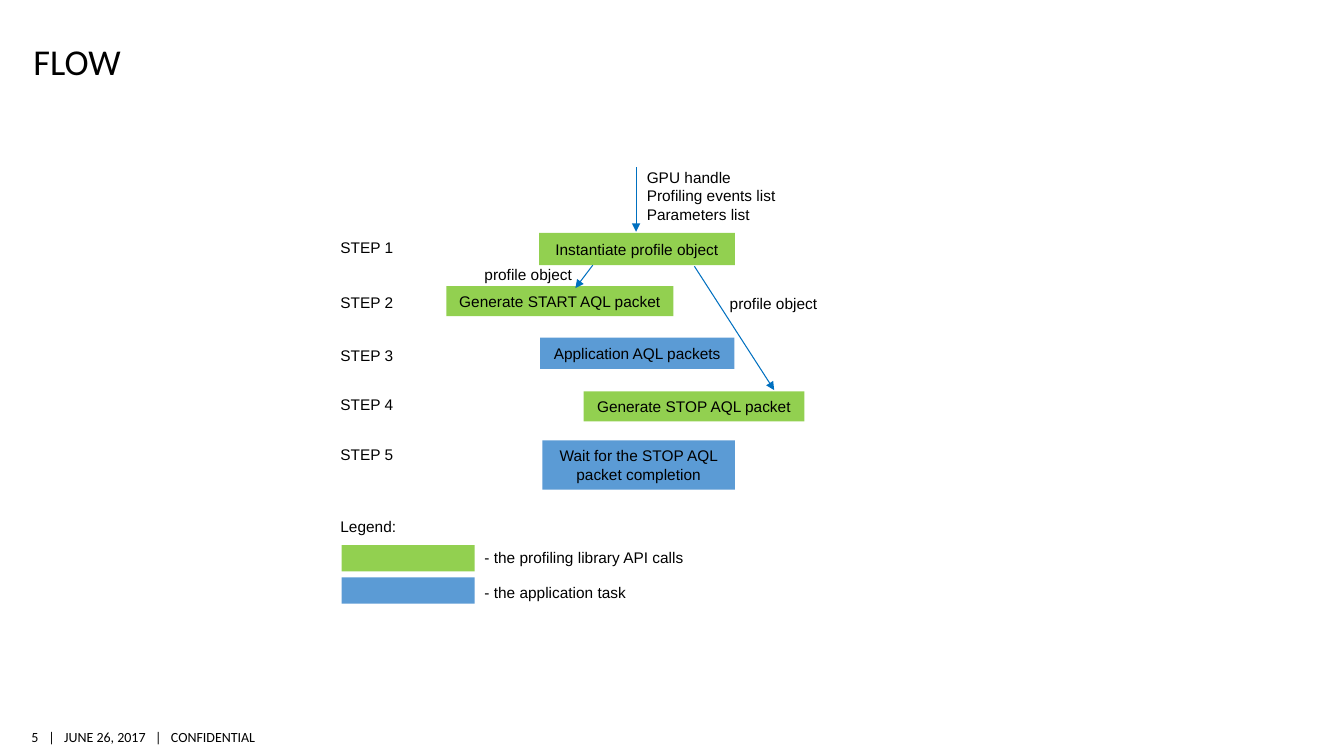
from dataclasses import dataclass

from lxml import etree
from pptx import Presentation
from pptx import util as u
from pptx.dml.color import RGBColor
from pptx.enum import shapes, text
from pptx.oxml.ns import qn
from pptx.slide import Slide
from pptx.text.text import TextFrame

BLACK = RGBColor(0x00, 0x00, 0x00)
WHITE = RGBColor(0xFF, 0xFF, 0xFF)
GREEN = RGBColor(0x92, 0xD0, 0x50)
BLUE = RGBColor(0x5B, 0x9B, 0xD5)
ARROW_BLUE = RGBColor(0x00, 0x70, 0xC0)

LEFT = text.PP_ALIGN.LEFT
CENTER = text.PP_ALIGN.CENTER
RIGHT = text.PP_ALIGN.RIGHT
TOP = text.MSO_ANCHOR.TOP
MIDDLE = text.MSO_ANCHOR.MIDDLE
BOTTOM = text.MSO_ANCHOR.BOTTOM


@dataclass(frozen=True)
class Block:
    wording: str
    left: float
    top: float
    width: float
    height: float
    fill: RGBColor = WHITE


@dataclass(frozen=True)
class Arrow:
    x1: float
    y1: float
    x2: float
    y2: float


STEP_TOPS = [5.87, 7.26, 8.59, 9.83, 11.1]

LABELS = [
    Block("profile object", 11.96, 6.55, 3.35, 0.71),
    Block("profile object", 18.14, 7.29, 3.35, 0.71),
    Block("GPU handle\nProfiling events list\nParameters list", 16.05, 4.11, 6.86, 1.47),
    Block("Legend:", 8.33, 12.9, 5, 0.71),
    Block("- the profiling library API calls", 11.96, 13.69, 6.6, 0.79),
    Block("- the application task", 11.96, 14.58, 6.38, 0.66),
] + [
    Block(f"STEP {number}", 8.33, top, 5, 0.71)
    for number, top in enumerate(STEP_TOPS, start=1)
]

TASKS = [
    Block("Instantiate profile object", 13.59, 5.87, 4.93, 0.81, GREEN),
    Block("Generate START AQL packet", 11.25, 7.21, 5.72, 0.76, GREEN),
    Block("Application AQL packets", 13.61, 8.51, 4.9, 0.79, BLUE),
    Block("Generate STOP AQL packet", 14.71, 9.86, 5.56, 0.76, GREEN),
    Block("Wait for the STOP AQL packet completion", 13.67, 11.1, 4.85, 1.24, BLUE),
    Block("", 8.61, 13.74, 3.35, 0.66, GREEN),
    Block("", 8.61, 14.55, 3.35, 0.66, BLUE),
]

ARROWS = [
    Arrow(16.03, 4.22, 16.03, 5.84),
    Arrow(14.94, 6.68, 14.5, 7.26),
    Arrow(17.5, 6.71, 19.51, 9.83),
]


def write(frame: TextFrame, wording: str, font: str, size: float,
          align: text.PP_ALIGN, anchor: text.MSO_ANCHOR) -> None:
    frame.text = wording
    frame.vertical_anchor = anchor
    for para in frame.paragraphs:
        para.alignment = align
        for span in para.runs:
            span.font.name = font
            span.font.size = u.Pt(size)
            span.font.color.rgb = BLACK


def set_margins(frame: TextFrame, top: float, bottom: float) -> None:
    frame.margin_left = frame.margin_right = 0
    frame.margin_top, frame.margin_bottom = u.Cm(top), u.Cm(bottom)


def place(block: Block) -> tuple[u.Length, ...]:
    return tuple(u.Cm(n) for n in (block.left, block.top, block.width, block.height))


def draw_block(page: Slide, block: Block, align: text.PP_ALIGN,
               anchor: text.MSO_ANCHOR) -> None:
    box = page.shapes.add_shape(shapes.MSO_SHAPE.RECTANGLE, *place(block))
    box.shadow.inherit = False
    box.fill.solid()
    box.fill.fore_color.rgb = block.fill
    box.line.fill.background()
    box.text_frame.word_wrap = True
    write(box.text_frame, block.wording, "Arial", 11, align, anchor)


def draw_arrow(page: Slide, arrow: Arrow) -> None:
    line = page.shapes.add_connector(
        shapes.MSO_CONNECTOR.STRAIGHT,
        u.Cm(arrow.x1), u.Cm(arrow.y1), u.Cm(arrow.x2), u.Cm(arrow.y2))
    line.line.color.rgb = ARROW_BLUE
    line.line.width = u.Pt(0.75)
    etree.SubElement(line.line._get_or_add_ln(), qn("a:tailEnd"), type="triangle")
    etree.SubElement(line._element.spPr, qn("a:effectLst"))


def draw_footer(page: Slide, block: Block, align: text.PP_ALIGN) -> None:
    box = page.shapes.add_textbox(*place(block))
    box.text_frame.word_wrap = False
    set_margins(box.text_frame, 0.1, 0.1)
    write(box.text_frame, block.wording, "Calibri", 10, align, MIDDLE)


def draw_title(page: Slide, block: Block) -> None:
    title = page.shapes.title
    title.left, title.top, title.width, title.height = place(block)
    set_margins(title.text_frame, 0.13, 0)
    title.text_frame.auto_size = text.MSO_AUTO_SIZE.NONE
    write(title.text_frame, block.wording, "Calibri", 26, LEFT, BOTTOM)


def main() -> None:
    deck = Presentation()
    deck.slide_width, deck.slide_height = u.Cm(33.87), u.Cm(19.05)
    page = deck.slides.add_slide(deck.slide_layouts.get_by_name("Title Only"))
    draw_title(page, Block("FLOW", 0.84, 0.76, 28.96, 1.32))
    draw_footer(page, Block("5", 0.56, 18.24, 0.41, 0.66), RIGHT)
    draw_footer(page, Block("|   JUNE 26, 2017   |   CONFIDENTIAL",
                            1.22, 18.24, 5.23, 0.66), LEFT)
    for label in LABELS:
        draw_block(page, label, LEFT, TOP)
    for task in TASKS:
        draw_block(page, task, CENTER, MIDDLE)
    for arrow in ARROWS:
        draw_arrow(page, arrow)
    deck.save("out.pptx")


if __name__ == "__main__":
    main()
